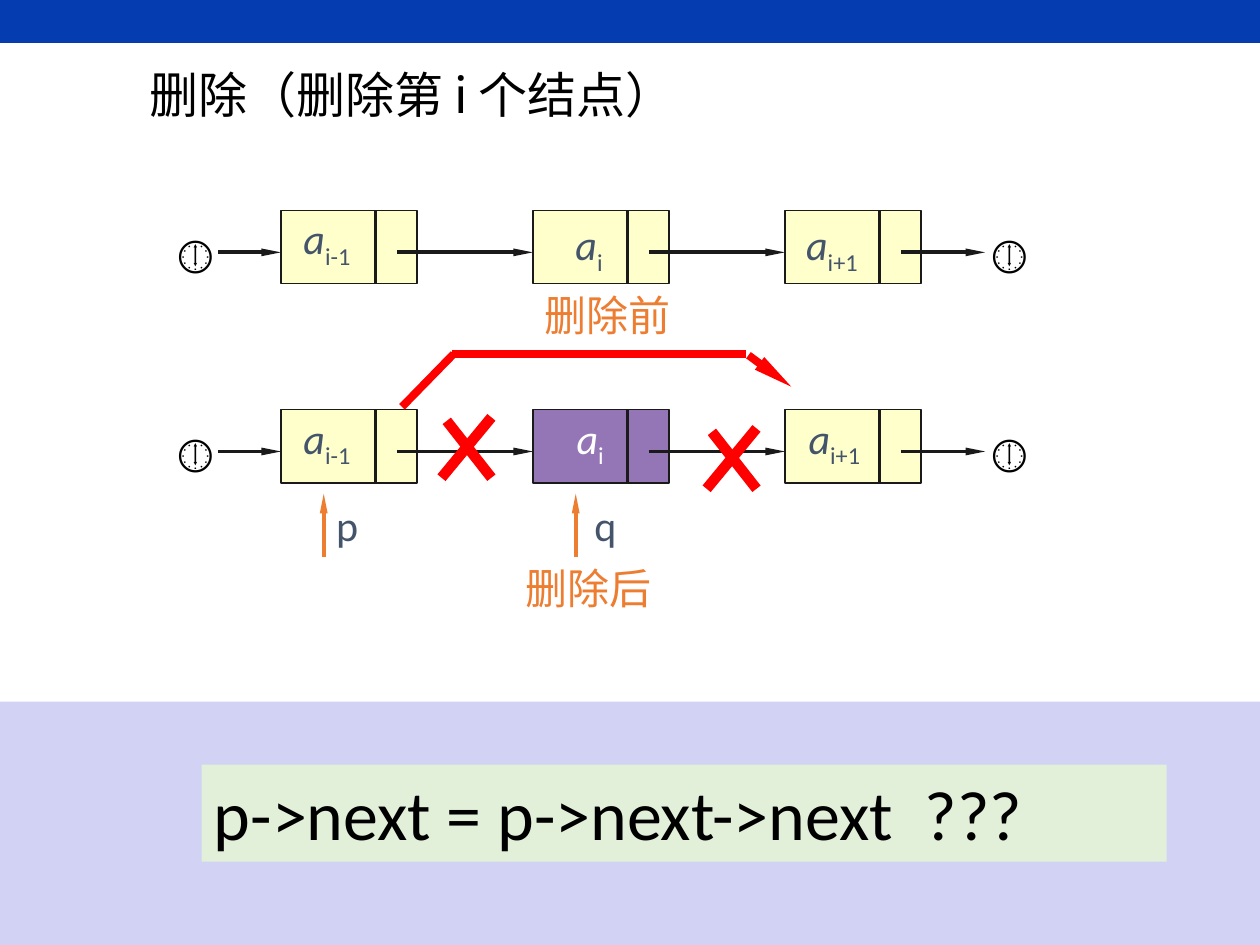
from dataclasses import dataclass
from lxml import etree
from pptx import Presentation
from pptx.dml.color import RGBColor
from pptx.enum import shapes as sh, text as tx
from pptx.oxml import ns
from pptx.util import Pt


@dataclass(frozen=True)
class Theme:
    bar: str = "053CAF"
    band: str = "D2D2F4"
    mint: str = "E2F0D9"
    node: str = "FFFFCC"
    gone: str = "9476B6"
    ink: str = "1A1A1A"
    black: str = "000000"
    white: str = "FFFFFF"
    slate: str = "44546A"
    mark: str = "ED7D31"
    red: str = "FF0000"
    latin: str = "Calibri"
    han: str = "Noto Sans CJK SC"
    text: int = 24
    head: int = 28
    code: int = 40


T = Theme()
LEFT, PITCH = 160.56, 144
WIDE, HIGH = 77.76, 42


def rgb(code):
    return RGBColor.from_string(code)


def add_run(para, words, size, color, face=T.latin, slant=False, base=0):
    run = para.add_run()
    run.text = words
    font = run.font
    font.size, font.name, font.italic = Pt(size), face, slant
    font.color.rgb = rgb(color)
    props = run._r.get_or_add_rPr()
    etree.SubElement(props, ns.qn("a:ea"), typeface=T.han)
    if base:
        props.set("baseline", str(base * 1000))


def add_box(slide, x, y, w, h, fill, edge=None):
    box = slide.shapes.add_shape(
        sh.MSO_SHAPE.RECTANGLE, Pt(x), Pt(y), Pt(w), Pt(h))
    box.shadow.inherit = False
    box.fill.solid()
    box.fill.fore_color.rgb = rgb(fill)
    if edge:
        box.line.color.rgb = rgb(edge)
        box.line.width = Pt(0.75)
    else:
        box.line.fill.background()
    return box


def add_line(slide, start, end, color, width, tip=False):
    line = slide.shapes.add_connector(
        sh.MSO_CONNECTOR.STRAIGHT, *map(Pt, start + end))
    line.line.color.rgb = rgb(color)
    line.line.width = Pt(width)
    if tip:
        etree.SubElement(line.line._get_or_add_ln(), ns.qn("a:tailEnd"),
                         type="triangle", w="sm", len="lg")
    etree.SubElement(line._element.spPr, ns.qn("a:effectLst"))


def add_text(slide, x, y, w, words, color, sub=""):
    box = slide.shapes.add_textbox(Pt(x), Pt(y), Pt(w), Pt(36.5))
    box.text_frame.word_wrap = False
    para = box.text_frame.paragraphs[0]
    add_run(para, words, T.text, color, slant=bool(sub))
    if sub:
        add_run(para, sub, T.text, color, base=-25)


def add_title(slide, words):
    title = slide.shapes.title
    title.left, title.top, title.width, title.height = map(
        Pt, (78.5, 33, 399.6, 41))
    frame = title.text_frame
    frame.auto_size = tx.MSO_AUTO_SIZE.NONE
    frame.vertical_anchor = tx.MSO_ANCHOR.MIDDLE
    para = frame.paragraphs[0]
    para.alignment = tx.PP_ALIGN.LEFT
    add_run(para, words, T.head, T.black, T.han)


def add_code(slide, words):
    box = add_box(slide, 115.2, 437, 551.5, 55.4, T.mint)
    frame = box.text_frame
    frame.word_wrap = True
    frame.vertical_anchor = tx.MSO_ANCHOR.TOP
    para = frame.paragraphs[0]
    para.alignment = tx.PP_ALIGN.LEFT
    add_run(para, words, T.code, T.black)


def add_chain(slide, top, fills, spots):
    mid = top + 24
    add_line(slide, (124.5, mid), (LEFT, mid), T.ink, 2.25, True)
    for i, fill in enumerate(fills):
        x = LEFT + i * PITCH
        split, stem = x + 54, x + 66.24
        end = 563 if i == len(fills) - 1 else x + PITCH
        add_box(slide, x, top, WIDE, HIGH, fill, T.ink)
        add_line(slide, (split, top), (split, top + HIGH), T.ink, 1.5)
        add_line(slide, (stem, mid), (end, mid), T.ink, 2.25, True)
    for x in (94.3, 559.4):
        add_text(slide, x, top + 6, 38.9, "🕕", T.black)
    for fill, sub, (x, y, w) in zip(fills, ("i-1", "i", "i+1"), spots):
        color = T.white if fill == T.gone else T.slate
        add_text(slide, x, y, w, "a", color, sub)


def add_cross(slide, x, y):
    add_line(slide, (x + 3, y + 2), (x + 28.5, y + 34.5), T.red, 6)
    add_line(slide, (x + 28.5, y), (x, y + 34.5), T.red, 6)


def add_mark(slide, x, name, gap):
    add_line(slide, (x, 318.2), (x, 282.2), T.mark, 2.25, True)
    add_text(slide, x + gap, 282.2, 26.6, name, T.slate)


def add_skip(slide):
    add_line(slide, (229.7, 232.5), (259.2, 202.3), T.red, 4.5)
    add_line(slide, (427.7, 203), (452.2, 221), T.red, 4.5, True)
    add_line(slide, (426.2, 202.3), (258.5, 202.3), T.red, 4.5)


def main():
    deck = Presentation()
    deck.slide_width, deck.slide_height = Pt(720), Pt(540)
    slide = deck.slides.add_slide(deck.slide_layouts[5])
    add_box(slide, 0, 0, 720, 24.5, T.bar)
    add_box(slide, 0, 401, 720, 139, T.band)
    add_code(slide, "p->next = p->next->next  ???")
    add_chain(slide, 120.2, (T.node,) * 3,
              ((166.3, 118, 44.6), (321.8, 121.5, 31), (453.6, 121.5, 48.2)))
    add_chain(slide, 234, (T.node, T.gone, T.node),
              ((166.3, 232, 44.6), (322.4, 232, 31), (455, 232, 48.2)))
    add_mark(slide, 185, "p", 0)
    add_mark(slide, 329, "q", 3.6)
    add_skip(slide)
    add_text(slide, 303.8, 162, 87.1, "删除前", T.mark)
    add_text(slide, 293, 318.2, 87.1, "删除后", T.mark)
    add_cross(slide, 252.3, 238.5)
    add_cross(slide, 403.8, 244.8)
    add_title(slide, "删除（删除第 i 个结点）")
    deck.save("out.pptx")


if __name__ == "__main__":
    main()
